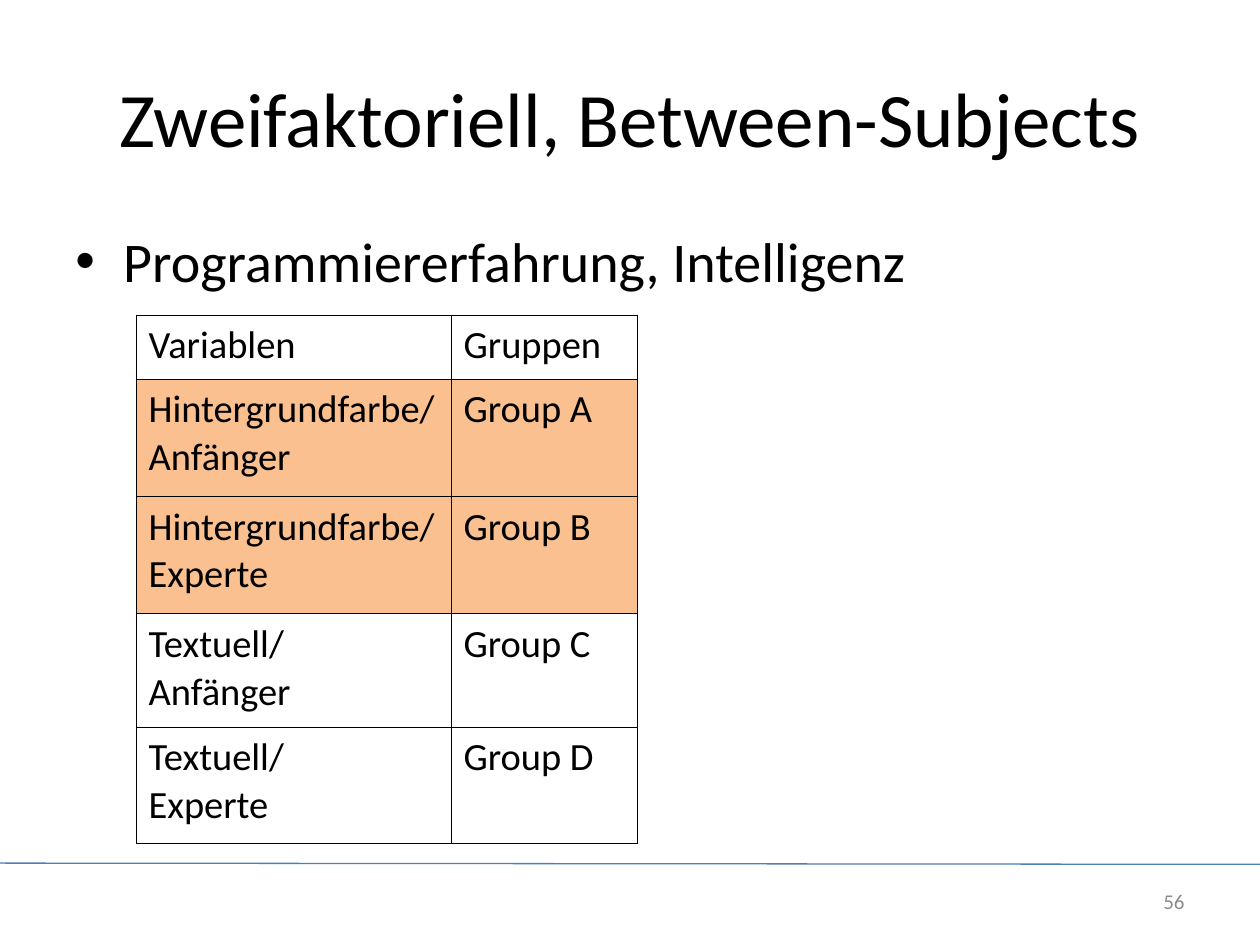
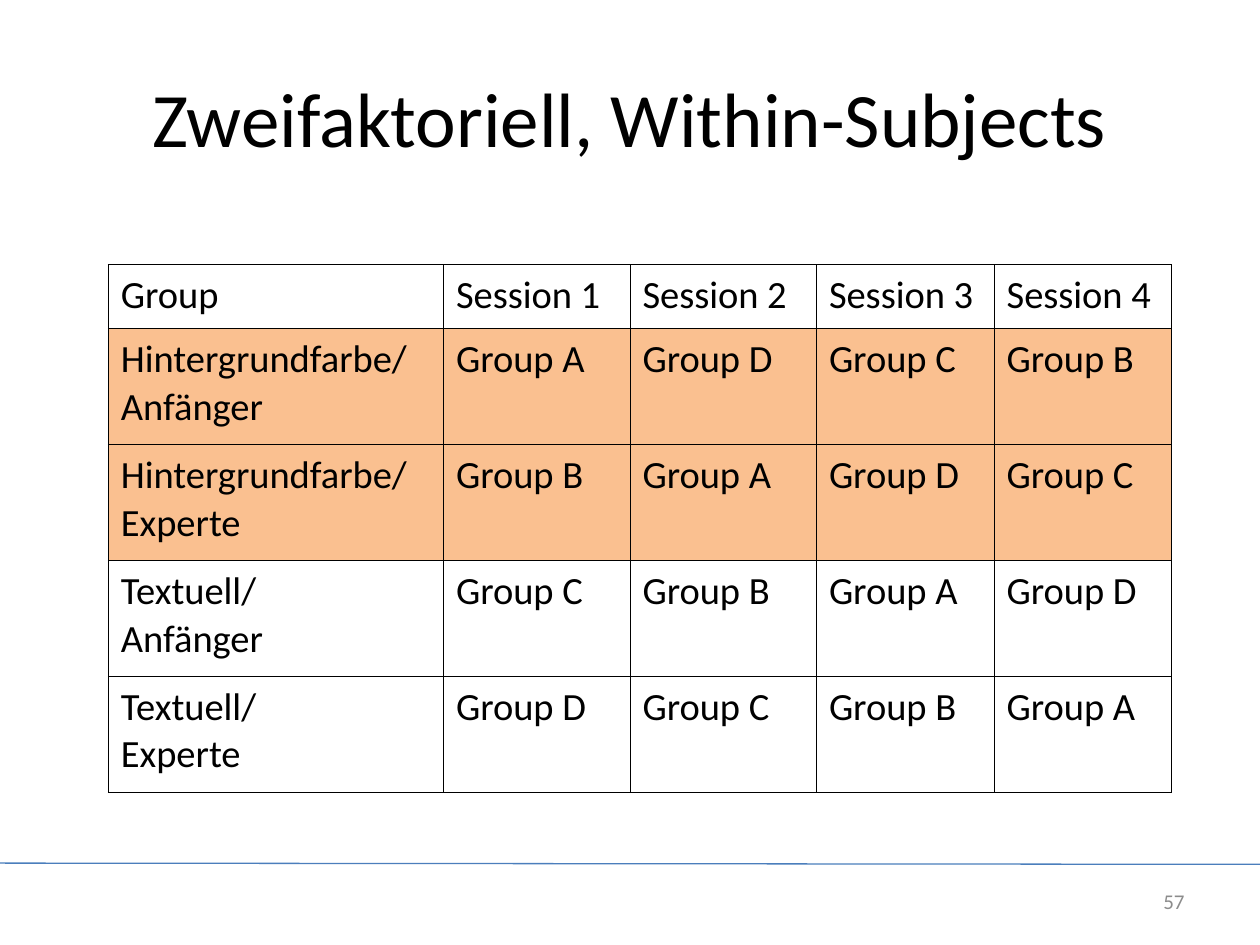
from lxml import etree
from pptx import Presentation
from pptx.dml.color import RGBColor
from pptx.enum.shapes import MSO_CONNECTOR
from pptx.enum.text import MSO_ANCHOR, PP_ALIGN
from pptx.oxml.ns import qn
from pptx.util import Inches, Pt

STRAIGHT = MSO_CONNECTOR.STRAIGHT
MIDDLE, TOP = MSO_ANCHOR.MIDDLE, MSO_ANCHOR.TOP
LEFT, CENTER, RIGHT = PP_ALIGN.LEFT, PP_ALIGN.CENTER, PP_ALIGN.RIGHT

FONT = "Calibri"
COLORS = {"text": "000000", "number": "8C8C8C", "rule": "4B7EBC", "highlight": "FAC090"}
CONDITIONS = [
    "Hintergrundfarbe/\nAnfänger",
    "Hintergrundfarbe/\nExperte",
    "Textuell/\nAnfänger",
    "Textuell/\nExperte",
]
HIGHLIGHTED_ROWS = (1, 2)
GROUPS = "ABCD"
SLIDES = [
    {
        "title": "Zweifaktoriell, Between-Subjects",
        "bullet": "Programmiererfahrung, Intelligenz",
        "header": ["Variablen", "Gruppen"],
        "origin": (1.08, 2.5),
        "columns": [2.5, 1.48],
        "rows": [0.51, 0.93, 0.93, 0.9, 0.92],
        "number": 56,
    },
    {
        "title": "Zweifaktoriell, Within-Subjects",
        "header": ["Group"] + [f"Session {n}" for n in range(1, 5)],
        "origin": (0.86, 2.1),
        "columns": [2.66, 1.48, 1.48, 1.41, 1.41],
        "rows": [0.51] + [0.92] * 4,
        "number": 57,
    },
]


def rgb(name):
    return RGBColor.from_string(COLORS[name])


def format_runs(paragraph, size, color="text"):
    for run in paragraph.runs:
        run.font.name = FONT
        run.font.size = Pt(size)
        run.font.color.rgb = rgb(color)


def add_text(slide, text, box, size, align=LEFT, anchor=MIDDLE, color="text"):
    frame = slide.shapes.add_textbox(*map(Inches, box)).text_frame
    frame.word_wrap = True
    frame.vertical_anchor = anchor
    frame.text = text
    paragraph = frame.paragraphs[0]
    paragraph.alignment = align
    format_runs(paragraph, size, color)
    return paragraph


def add_bullet(slide, text):
    paragraph = add_text(slide, text, (0.5, 1.75, 9, 4.95), 32, anchor=TOP)
    props = paragraph._p.get_or_add_pPr()
    props.set("marL", str(Inches(0.38)))
    props.set("indent", str(-Inches(0.38)))
    before = etree.SubElement(props, qn("a:spcBef"))
    etree.SubElement(before, qn("a:spcPct"), val="20000")
    etree.SubElement(props, qn("a:buFont"), typeface="Arial")
    etree.SubElement(props, qn("a:buChar"), char="•")


def add_footer(slide, number):
    rule = slide.shapes.add_connector(
        STRAIGHT, 0, Inches(6.85), Inches(10), Inches(6.86))
    rule.line.color.rgb = rgb("rule")
    rule.line.width = Pt(0.75)
    etree.SubElement(rule._element.spPr, qn("a:effectLst"))
    add_text(slide, str(number), (8.59, 6.95, 0.91, 0.4), 12, RIGHT, color="number")


def add_borders(cell):
    props = cell._tc.get_or_add_tcPr()
    for side in ("lnL", "lnR", "lnT", "lnB"):
        border = etree.SubElement(props, qn(f"a:{side}"), w=str(Pt(0.45)))
        fill = etree.SubElement(border, qn("a:solidFill"))
        etree.SubElement(fill, qn("a:srgbClr"), val=COLORS["text"])


def design_rows(header):
    """Rotate the groups by one place from each session to the next."""
    sessions = range(len(header) - 1)
    return [header] + [
        [condition] + [f"Group {GROUPS[(row - session) % len(GROUPS)]}" for session in sessions]
        for row, condition in enumerate(CONDITIONS)
    ]


def add_design(slide, content):
    columns, heights = content["columns"], content["rows"]
    box = (*content["origin"], sum(columns), sum(heights))
    table = slide.shapes.add_table(len(heights), len(columns), *map(Inches, box)).table
    table.first_row = table.horz_banding = False
    for column, width in zip(table.columns, columns):
        column.width = Inches(width)
    for row, height in zip(table.rows, heights):
        row.height = Inches(height)
    for r, texts in enumerate(design_rows(content["header"])):
        for c, text in enumerate(texts):
            cell = table.cell(r, c)
            cell.text_frame.text = text
            for paragraph in cell.text_frame.paragraphs:
                paragraph.line_spacing = 1.02
                format_runs(paragraph, 22)
            add_borders(cell)
            if r in HIGHLIGHTED_ROWS:
                cell.fill.solid()
                cell.fill.fore_color.rgb = rgb("highlight")
            else:
                cell.fill.background()


def main():
    deck = Presentation()
    deck.slide_width, deck.slide_height = Inches(10), Inches(7.5)
    for content in SLIDES:
        slide = deck.slides.add_slide(deck.slide_layouts[6])
        add_text(slide, content["title"], (0.5, 0.3, 9, 1.25), 44, CENTER)
        if "bullet" in content:
            add_bullet(slide, content["bullet"])
        add_design(slide, content)
        add_footer(slide, content["number"])
    deck.save("out.pptx")


if __name__ == "__main__":
    main()
